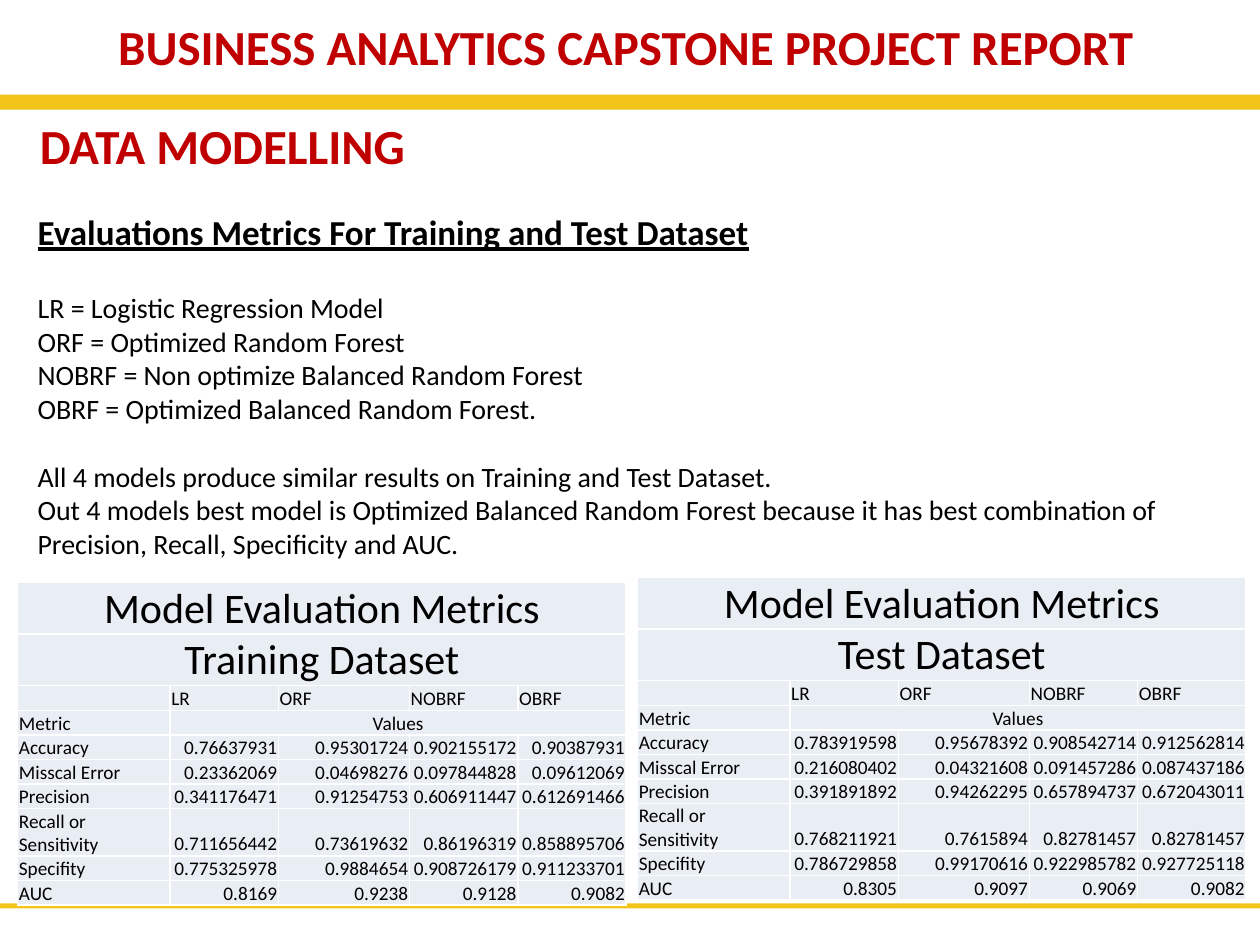
from lxml.etree import SubElement as Sub
from pptx import Presentation
from pptx.dml.color import RGBColor as RGB
from pptx.enum.shapes import MSO_SHAPE as Kind
from pptx.enum.text import MSO_ANCHOR as Anchor, MSO_AUTO_SIZE as Auto, PP_ALIGN as Align
from pptx.oxml.ns import qn
from pptx.util import Inches as Inch, Pt

WIDE, HIGH = 10, 7.5
RED, GOLD, BLACK, WHITE, PALE = "C00000", "F3C419", "000000", "FFFFFF", "E9EDF4"
HEAD = {"size": 28, "bold": True, "color": RED}
SUB = {"size": 20, "bold": True, "underline": True}
BODY = {"size": 16}
BIG, SMALL = {"size": 24}, {"size": 11}

TITLE = "BUSINESS ANALYTICS CAPSTONE PROJECT REPORT"
TOPIC = "DATA MODELLING"
BARS = [(0.75, 0.12), (7.17, 0.04)]
NOTES = [  # text, format, space before
    ("Evaluations Metrics For Training and Test Dataset", SUB, 0),
    ("LR = Logistic Regression Model", BODY, 22),
    ("ORF = Optimized Random Forest", BODY, 0),
    ("NOBRF = Non optimize Balanced Random Forest", BODY, 0),
    ("OBRF = Optimized Balanced Random Forest.", BODY, 0),
    ("All 4 models produce similar results on Training and Test Dataset.", BODY, 19.5),
    ("Out 4 models best model is Optimized Balanced Random Forest because it has "
     "best combination of Precision, Recall, Specificity and AUC.", BODY, 0),
]
MODELS = ["", "LR", "ORF", "NOBRF", "OBRF"]
METRICS = ["Accuracy", "Misscal Error", "Precision", "Recall or Sensitivity", "Specifity", "AUC"]
TRAIN = [
    ("0.76637931", "0.95301724", "0.902155172", "0.90387931"),
    ("0.23362069", "0.04698276", "0.097844828", "0.09612069"),
    ("0.341176471", "0.91254753", "0.606911447", "0.612691466"),
    ("0.711656442", "0.73619632", "0.86196319", "0.858895706"),
    ("0.775325978", "0.9884654", "0.908726179", "0.911233701"),
    ("0.8169", "0.9238", "0.9128", "0.9082"),
]
TEST = [
    ("0.783919598", "0.95678392", "0.908542714", "0.912562814"),
    ("0.216080402", "0.04321608", "0.091457286", "0.087437186"),
    ("0.391891892", "0.94262295", "0.657894737", "0.672043011"),
    ("0.768211921", "0.7615894", "0.82781457", "0.82781457"),
    ("0.786729858", "0.99170616", "0.922985782", "0.927725118"),
    ("0.8305", "0.9097", "0.9069", "0.9082"),
]
TABLES = [(0.14, 4.62, "Training Dataset", TRAIN), (5.06, 4.58, "Test Dataset", TEST)]
COLS = [1.21, 0.86, 1.04, 0.86, 0.86]
ROWS = [0.41, 0.41, 0.2] + [0.19] * 4 + [0.38, 0.19, 0.19]


def tint(fill, shade):
    fill.solid()
    fill.fore_color.rgb = RGB.from_string(shade)


def write(para, text, form, align=Align.LEFT):
    para.alignment = align
    run = para.add_run()
    run.text = text
    look = {"name": "Calibri", "color": BLACK, **form}
    run.font.color.rgb = RGB.from_string(look.pop("color"))
    look["size"] = Pt(look["size"])
    for key, val in look.items():
        setattr(run.font, key, val)


def place(shape, x, y, w, h):
    for key, val in zip(("left", "top", "width", "height"), (x, y, w, h)):
        setattr(shape, key, Inch(val))


def bar(slide, y, h):
    box = slide.shapes.add_shape(Kind.RECTANGLE, 0, Inch(y), Inch(WIDE), Inch(h))
    box.shadow.inherit = False
    tint(box.fill, GOLD)
    box.line.fill.background()


def label(slide, x, y, w, h, wrap):
    box = slide.shapes.add_textbox(*map(Inch, (x, y, w, h)))
    box.text_frame.word_wrap = wrap
    return box.text_frame


def edge(cell):
    props = cell._tc.get_or_add_tcPr()
    for side in "LRTB":
        line = Sub(props, qn(f"a:ln{side}"), w=str(Pt(1)))
        Sub(Sub(line, qn("a:solidFill")), qn("a:srgbClr"), val=WHITE)


def fill_cell(cell, text, form, align):
    edge(cell)
    tint(cell.fill, PALE)
    cell.vertical_anchor = Anchor.BOTTOM
    for side in ("left", "right", "top"):
        setattr(cell, f"margin_{side}", Inch(0.01))
    cell.margin_bottom = 0
    para = cell.text_frame.paragraphs[0]
    if text:
        write(para, text, form, align)
    else:
        Sub(para._p, qn("a:endParaRPr"), sz=str(form["size"] * 100))


def grid(slide, x, y, name, data):
    rows = [["Model Evaluation Metrics"], [name], MODELS, ["Metric", "Values"]]
    rows += [[metric, *vals] for metric, vals in zip(METRICS, data)]
    size = map(Inch, (x, y, sum(COLS), sum(ROWS)))
    table = slide.shapes.add_table(len(ROWS), len(COLS), *size).table
    table.first_row = table.horz_banding = False
    for col, w in zip(table.columns, COLS):
        col.width = Inch(w)
    for r, (row, h) in enumerate(zip(rows, ROWS)):
        table.rows[r].height = Inch(h)
        last = len(row) - 1
        for c in range(len(COLS)):
            text = row[c] if c <= last else ""
            mid = r < 2 or (r == 3 and c)
            align = Align.CENTER if mid else Align.RIGHT if r > 3 and c else Align.LEFT
            fill_cell(table.cell(r, c), text, BIG if r < 2 else SMALL, align)
        if last < len(COLS) - 1:
            table.cell(r, last).merge(table.cell(r, len(COLS) - 1))


def main():
    """Build the model evaluation slide."""
    deck = Presentation()
    deck.slide_width, deck.slide_height = Inch(WIDE), Inch(HIGH)
    slide = deck.slides.add_slide(deck.slide_layouts[5])
    for y, h in BARS:
        bar(slide, y, h)
    title = slide.shapes.title
    place(title, 0.79, 0.08, 8.35, 0.57)
    frame = title.text_frame
    frame.word_wrap, frame.auto_size = False, Auto.NONE
    frame.vertical_anchor = Anchor.TOP
    write(frame.paragraphs[0], TITLE, HEAD, Align.CENTER)
    topic = label(slide, 0.2, 0.87, 3.13, 0.57, False)
    write(topic.paragraphs[0], TOPIC, HEAD, Align.CENTER)
    notes = label(slide, 0.2, 1.62, 9.55, 2.89, True)
    for i, (text, form, gap) in enumerate(NOTES):
        para = notes.add_paragraph() if i else notes.paragraphs[0]
        para.space_before = Pt(gap)
        write(para, text, form)
    for spot in TABLES:
        grid(slide, *spot)
    deck.save("out.pptx")


if __name__ == "__main__":
    main()
